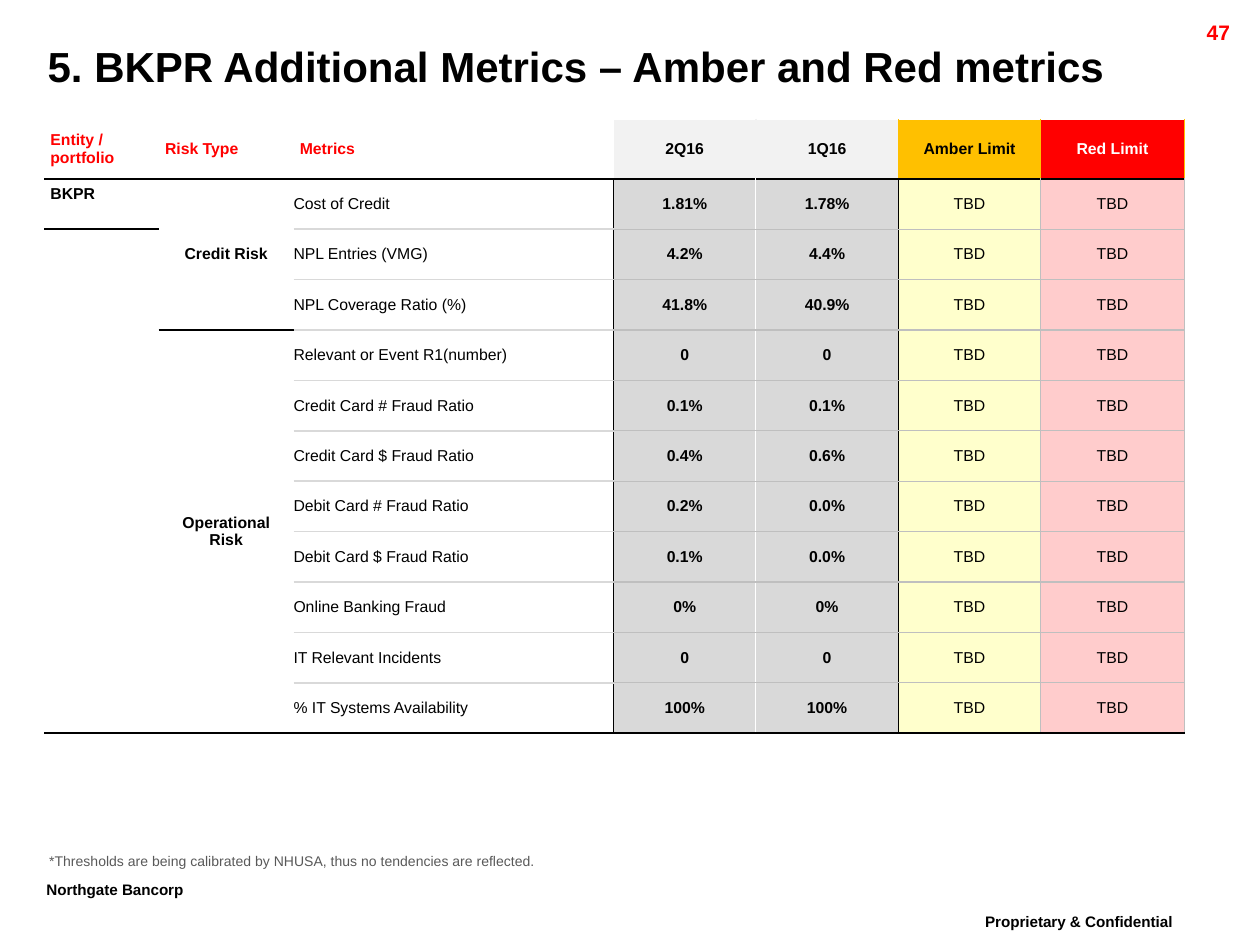
import dataclasses
import typing

import lxml.etree
import pptx
import pptx.dml.color
import pptx.enum.text
import pptx.oxml.ns
import pptx.table
import pptx.util

Inches = pptx.util.Inches
ALIGN = pptx.enum.text.PP_ALIGN
ANCHOR = pptx.enum.text.MSO_ANCHOR


@dataclasses.dataclass(frozen=True)
class Theme:
    font: str = "Arial"
    black: str = "000000"
    white: str = "FFFFFF"
    red: str = "FF0000"
    amber: str = "FFC000"
    heading_gray: str = "F2F2F2"
    value_gray: str = "D9D9D9"
    rule_gray: str = "BFBFBF"
    pale_yellow: str = "FFFFCC"
    pale_red: str = "FFCCCC"
    note_gray: str = "595959"
    title_size: float = 24
    footer_size: float = 15
    page_size: float = 12
    table_size: float = 9
    note_size: float = 8


THEME = Theme()


class Border(typing.NamedTuple):
    color: str
    width: float = 1


class Column(typing.NamedTuple):
    heading: str
    width: float
    heading_color: str = THEME.red
    heading_fill: str | None = None
    heading_right: Border = Border(THEME.white)
    body_fill: str | None = None
    body_bold: bool = False
    body_right: Border | None = None
    rule: Border | None = None
    align: ALIGN = ALIGN.LEFT


class Metric(typing.NamedTuple):
    name: str
    current: str
    previous: str
    amber_limit: str = "TBD"
    red_limit: str = "TBD"


class RiskType(typing.NamedTuple):
    name: str
    metrics: list[Metric]


class Label(typing.NamedTuple):
    text: str
    left: float
    top: float
    width: float
    height: float
    size: float
    color: str = THEME.black
    bold: bool = True
    align: ALIGN = ALIGN.LEFT
    anchor: ANCHOR = ANCHOR.TOP
    raised: bool = False
    wrap: bool = True
    padded: bool = True


BLACK_LINE = Border(THEME.black)
WHITE_LINE = Border(THEME.white)
GRAY_LINE = Border(THEME.rule_gray, 0.75)
AMBER_LINE = Border(THEME.amber)

COLUMNS = [
    Column("Entity / portfolio", 0.91),
    Column("Risk Type", 1.07),
    Column("Metrics", 2.54, body_right=BLACK_LINE, rule=Border(THEME.value_gray)),
    Column("2Q16", 1.13, THEME.black, THEME.heading_gray, Border(THEME.heading_gray),
           THEME.value_gray, True, Border(THEME.white, 0.75), GRAY_LINE, ALIGN.CENTER),
    Column("1Q16", 1.13, THEME.black, THEME.heading_gray, AMBER_LINE,
           THEME.value_gray, True, BLACK_LINE, GRAY_LINE, ALIGN.CENTER),
    Column("Amber Limit", 1.13, THEME.black, THEME.amber, AMBER_LINE,
           THEME.pale_yellow, False, GRAY_LINE, GRAY_LINE, ALIGN.CENTER),
    Column("Red Limit", 1.14, THEME.white, THEME.red, AMBER_LINE,
           THEME.pale_red, False, GRAY_LINE, GRAY_LINE, ALIGN.CENTER),
]

ENTITY = "BKPR"
RISK_TYPES = [
    RiskType("Credit Risk", [
        Metric("Cost of Credit", "1.81%", "1.78%"),
        Metric("NPL Entries (VMG)", "4.2%", "4.4%"),
        Metric("NPL Coverage Ratio (%)", "41.8%", "40.9%"),
    ]),
    RiskType("Operational\nRisk", [
        Metric("Relevant or Event R1(number)", "0", "0"),
        Metric("Credit Card # Fraud Ratio", "0.1%", "0.1%"),
        Metric("Credit Card $ Fraud Ratio", "0.4%", "0.6%"),
        Metric("Debit Card # Fraud Ratio", "0.2%", "0.0%"),
        Metric("Debit Card $ Fraud Ratio", "0.1%", "0.0%"),
        Metric("Online Banking Fraud", "0%", "0%"),
        Metric("IT Relevant Incidents", "0", "0"),
        Metric("% IT Systems Availability", "100%", "100%"),
    ]),
]
METRICS = [metric for risk in RISK_TYPES for metric in risk.metrics]

LABELS = [
    Label("Proprietary & Confidential", 7.72, 7.17, 2.18, 0.35, THEME.footer_size, raised=True),
    Label("Northgate Bancorp", 0.27, 6.91, 1.49, 0.35, THEME.footer_size, raised=True, wrap=False),
    Label(f"5. {ENTITY} Additional Metrics – Amber and Red metrics",
          0.28, 0.27, 9.72, 0.5, THEME.title_size),
    Label("*Thresholds are being calibrated by NHUSA, thus no tendencies are reflected.",
          0.39, 6.77, 9.27, 0.13, THEME.note_size, THEME.note_gray, False,
          anchor=ANCHOR.BOTTOM, padded=False),
    Label("47", 8.91, 0.11, 0.95, 0.24, THEME.page_size, THEME.red, align=ALIGN.RIGHT),
]

TITLE_ROW, HEADING_ROW, FIRST_ROW = 0, 1, 2
ROW_HEIGHTS = [0.44, 0.47] + [0.4] * len(METRICS)
NO_STYLE = "{2D5ABB26-0587-4C30-8999-92F81FD0307C}"


def format_text(frame, size: float, color: str, bold: bool, align: ALIGN) -> None:
    for paragraph in frame.paragraphs:
        paragraph.alignment = align
        for run in paragraph.runs:
            run.font.name = THEME.font
            run.font.size = pptx.util.Pt(size)
            run.font.bold = bold
            run.font.color.rgb = pptx.dml.color.RGBColor.from_string(color)


def add_label(slide, label: Label) -> None:
    box = slide.shapes.add_textbox(*map(Inches, label[1:5]))
    frame = box.text_frame
    frame.word_wrap = label.wrap
    frame.vertical_anchor = label.anchor
    if not label.padded:
        frame.margin_left = frame.margin_right = frame.margin_top = frame.margin_bottom = 0
    frame.text = label.text
    format_text(frame, label.size, label.color, label.bold, label.align)
    if label.raised:
        frame.paragraphs[0].runs[0].font._element.set("baseline", "30000")


def style_cell(cell: pptx.table._Cell, text: str = "", color: str = THEME.black,
               bold: bool = True, align: ALIGN = ALIGN.LEFT, fill: str | None = None,
               margin: float = 0, anchor: ANCHOR = ANCHOR.MIDDLE, **borders: Border | None) -> None:
    cell.margin_left = cell.margin_right = cell.margin_top = cell.margin_bottom = Inches(margin)
    cell.vertical_anchor = anchor
    cell.text = text
    format_text(cell.text_frame, THEME.table_size, color, bold, align)
    qn = pptx.oxml.ns.qn
    properties = cell._tc.get_or_add_tcPr()
    for side, tag in (("left", "a:lnL"), ("right", "a:lnR"), ("top", "a:lnT"), ("bottom", "a:lnB")):
        border = borders.get(side)
        if border:
            line = lxml.etree.SubElement(properties, qn(tag), w=str(pptx.util.Pt(border.width)))
            solid = lxml.etree.SubElement(line, qn("a:solidFill"))
            lxml.etree.SubElement(solid, qn("a:srgbClr"), val=border.color)
    if fill:
        cell.fill.solid()
        cell.fill.fore_color.rgb = pptx.dml.color.RGBColor.from_string(fill)
    else:
        cell.fill.background()


def add_metrics_table(slide) -> None:
    frame = slide.shapes.add_table(len(ROW_HEIGHTS), len(COLUMNS), Inches(0.35), Inches(0.51),
                                   Inches(9.06), Inches(sum(ROW_HEIGHTS)))
    table = frame.table
    table.first_row = table.horz_banding = False
    table._tbl.tblPr.find(pptx.oxml.ns.qn("a:tableStyleId")).text = NO_STYLE
    for row, height in zip(table.rows, ROW_HEIGHTS):
        row.height = Inches(height)
    last_row = len(ROW_HEIGHTS) - 1

    for index, column in enumerate(COLUMNS):
        table.columns[index].width = Inches(column.width)
        style_cell(table.cell(TITLE_ROW, index), bottom=WHITE_LINE)
        style_cell(table.cell(HEADING_ROW, index), column.heading, column.heading_color,
                   align=column.align, fill=column.heading_fill, margin=0.05,
                   left=COLUMNS[index - 1].heading_right if index else None,
                   right=column.heading_right, top=WHITE_LINE, bottom=BLACK_LINE)
        for row, metric in enumerate(METRICS, FIRST_ROW):
            style_cell(table.cell(row, index), metric[index - 2] if index >= 2 else "",
                       bold=column.body_bold, align=column.align, fill=column.body_fill,
                       left=COLUMNS[index - 1].body_right if index else None,
                       right=column.body_right,
                       top=BLACK_LINE if row == FIRST_ROW else column.rule,
                       bottom=BLACK_LINE if row == last_row else column.rule)

    table.cell(TITLE_ROW, 0).merge(table.cell(TITLE_ROW, len(COLUMNS) - 1))
    style_cell(table.cell(FIRST_ROW, 0), ENTITY, margin=0.05, anchor=ANCHOR.TOP)
    start = FIRST_ROW
    for risk in RISK_TYPES:
        end = start + len(risk.metrics) - 1
        table.cell(start, 1).merge(table.cell(end, 1))
        style_cell(table.cell(start, 1), risk.name, align=ALIGN.CENTER, margin=0.05,
                   bottom=BLACK_LINE if end == last_row else None)
        start = end + 1


def main() -> None:
    presentation = pptx.Presentation()
    presentation.slide_width = Inches(10)
    presentation.slide_height = Inches(7.5)
    slide = presentation.slides.add_slide(presentation.slide_layouts[6])
    add_metrics_table(slide)
    for label in LABELS:
        add_label(slide, label)
    presentation.save("out.pptx")


if __name__ == "__main__":
    main()
